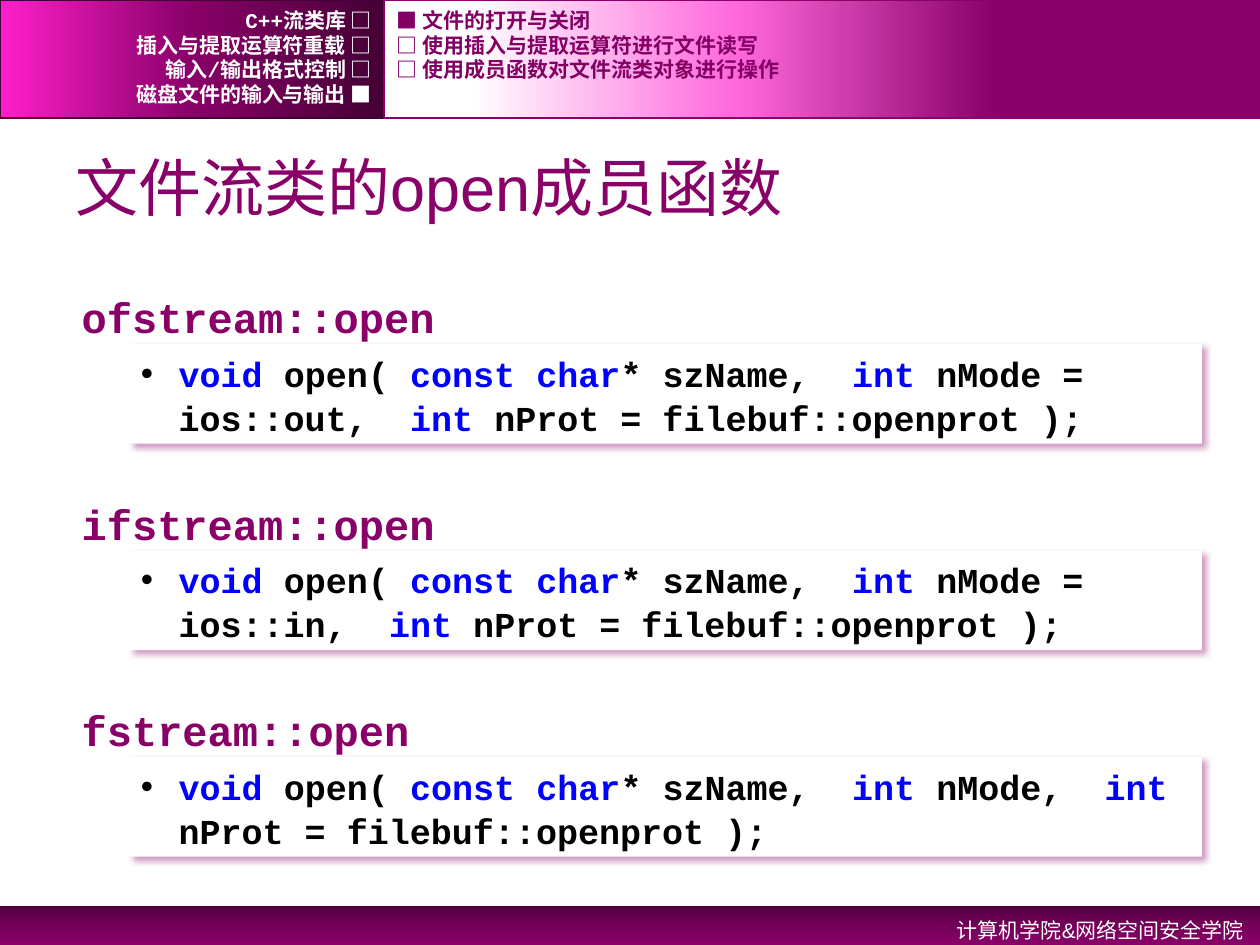
from lxml.etree import SubElement
from pptx import Presentation
from pptx.dml.color import RGBColor
from pptx.enum.lang import MSO_LANGUAGE_ID as Lang
from pptx.enum.shapes import MSO_SHAPE as Shape
from pptx.enum.text import MSO_ANCHOR as Anchor, PP_ALIGN as Align
from pptx.oxml import parse_xml
from pptx.oxml.ns import nsdecls, qn
from pptx.util import Pt

PURPLE, DARK, WHITE = "880068", "440034", "FFFFFF"
BLUE, BLACK, TOPIC = "0000FF", "000000", "820064"
CODE_FONT = "Courier New"


def rgb(hex_color):
    return RGBColor.from_string(hex_color)


def write(frame, runs, size, font, bold=False, align=Align.LEFT,
          anchor=Anchor.TOP, wrap=True):
    frame.word_wrap = wrap
    frame.vertical_anchor = anchor
    line = frame.paragraphs[0]
    line.alignment = align
    for text, color in runs:
        run = line.add_run()
        run.text = text
        run.font.size = Pt(size)
        run.font.name = font
        run.font.bold = bold
        run.font.color.rgb = rgb(color)
        run.font.language_id = Lang.SIMPLIFIED_CHINESE
    return line


prs = Presentation()
prs.slide_width, prs.slide_height = Pt(720), Pt(540)
slide = prs.slides.add_slide(prs.slide_layouts[6])
shapes = slide.shapes

# Gradient bands: footer, section header, topic header
bands = [
    ((0, 517.7, 720, 22.3), 90, [(0, "51003E"), (50, "730058"), (100, PURPLE)], None),
    ((0, 0, 219.6, 67.7), 180, [(0, DARK), (50, PURPLE), (100, "FF1FCA")], DARK),
    ((219.6, 0, 500.4, 67.7), 180, [(30, PURPLE), (60, "FF69DC"), (90, WHITE)], PURPLE),
]
for box, angle, stops, outline in bands:
    band = shapes.add_shape(Shape.RECTANGLE, *map(Pt, box))
    band.shadow.inherit = False
    stop_xml = "".join(
        f'<a:gs pos="{pos * 1000}"><a:srgbClr val="{color}"/></a:gs>'
        for pos, color in stops)
    gradient = parse_xml(
        f'<a:gradFill {nsdecls("a")} rotWithShape="1"><a:gsLst>{stop_xml}</a:gsLst>'
        f'<a:lin ang="{angle * 60000}" scaled="0"/></a:gradFill>')
    band._element.spPr.find(qn("a:prstGeom")).addnext(gradient)
    if outline:
        band.line.color.rgb = rgb(outline)
        band.line.width = Pt(1)
    else:
        band.line.fill.background()

# Footer
footer = shapes.add_textbox(Pt(462.2), Pt(517.7), Pt(255.6), Pt(23))
write(footer.text_frame, [("计算机学院&网络空间安全学院", WHITE)], 12, "Arial",
      align=Align.RIGHT).line_spacing = 1.2

# Title
title = shapes.add_textbox(Pt(36), Pt(78.5), Pt(648), Pt(56.2))
write(title.text_frame, [("文件流类的open成员函数", PURPLE)], 36, "Arial",
      anchor=Anchor.MIDDLE)

# Function signatures
functions = [
    ("ofstream::open", "nMode = ios::out,  "),
    ("ifstream::open", "nMode = ios::in,  "),
    ("fstream::open", "nMode,  "),
]
for row, (function, mode) in enumerate(functions):
    offset = 118 * row
    signature = shapes.add_shape(
        Shape.RECTANGLE, Pt(73.4), Pt(196.6 + offset), Pt(613.4), Pt(56.9))
    signature.fill.solid()
    signature.fill.fore_color.rgb = rgb(WHITE)
    signature.line.fill.background()
    signature._element.spPr.append(parse_xml(
        f'<a:effectLst {nsdecls("a")}><a:outerShdw blurRad="{Pt(4)}" dist="{Pt(3)}" '
        f'dir="2700000" algn="tl" rotWithShape="0"><a:srgbClr val="{PURPLE}">'
        '<a:alpha val="40000"/></a:srgbClr></a:outerShdw></a:effectLst>'))
    code = write(signature.text_frame, [
        ("void", BLUE), (" open( ", BLACK), ("const char", BLUE),
        ("* szName,  ", BLACK), ("int ", BLUE), (mode, BLACK),
        ("int ", BLUE), ("nProt = filebuf::openprot );", BLACK),
    ], 20, CODE_FONT, bold=True)
    code.line_spacing = 1.05
    code.space_before = Pt(4)
    props = code._p.get_or_add_pPr()
    props.set("marL", str(Pt(21.6)))
    props.set("indent", str(-Pt(21.6)))
    bullet_color = SubElement(props, qn("a:buClr"))
    SubElement(bullet_color, qn("a:srgbClr")).set("val", BLACK)
    SubElement(props, qn("a:buFont")).set("typeface", "Arial")
    SubElement(props, qn("a:buChar")).set("char", "•")

    heading_width = 14.4 * len(function) + 16
    heading = shapes.add_textbox(
        Pt(39.6), Pt(163.1 + offset), Pt(heading_width), Pt(36))
    write(heading.text_frame, [(function, PURPLE)], 24, CODE_FONT, bold=True,
          wrap=False).space_before = Pt(4.8)

# Navigation in the header
sections = ["C++流类库 □", "插入与提取运算符重载 □", "输入/输出格式控制 □",
            "磁盘文件的输入与输出 ■"]
topics = ["■ 文件的打开与关闭", "□ 使用插入与提取运算符进行文件读写",
          "□ 使用成员函数对文件流类对象进行操作"]
for entries, left, width, color, align in [
        (sections, 0, 219.6, WHITE, Align.RIGHT),
        (topics, 219.6, 433.4, TOPIC, Align.LEFT)]:
    for row, entry in enumerate(entries):
        item = shapes.add_textbox(Pt(left), Pt(4.3 + 14.1 * row), Pt(width), Pt(14.4))
        write(item.text_frame, [(entry, color)], 12, CODE_FONT, bold=True,
              align=align, anchor=Anchor.MIDDLE)

prs.save("out.pptx")
